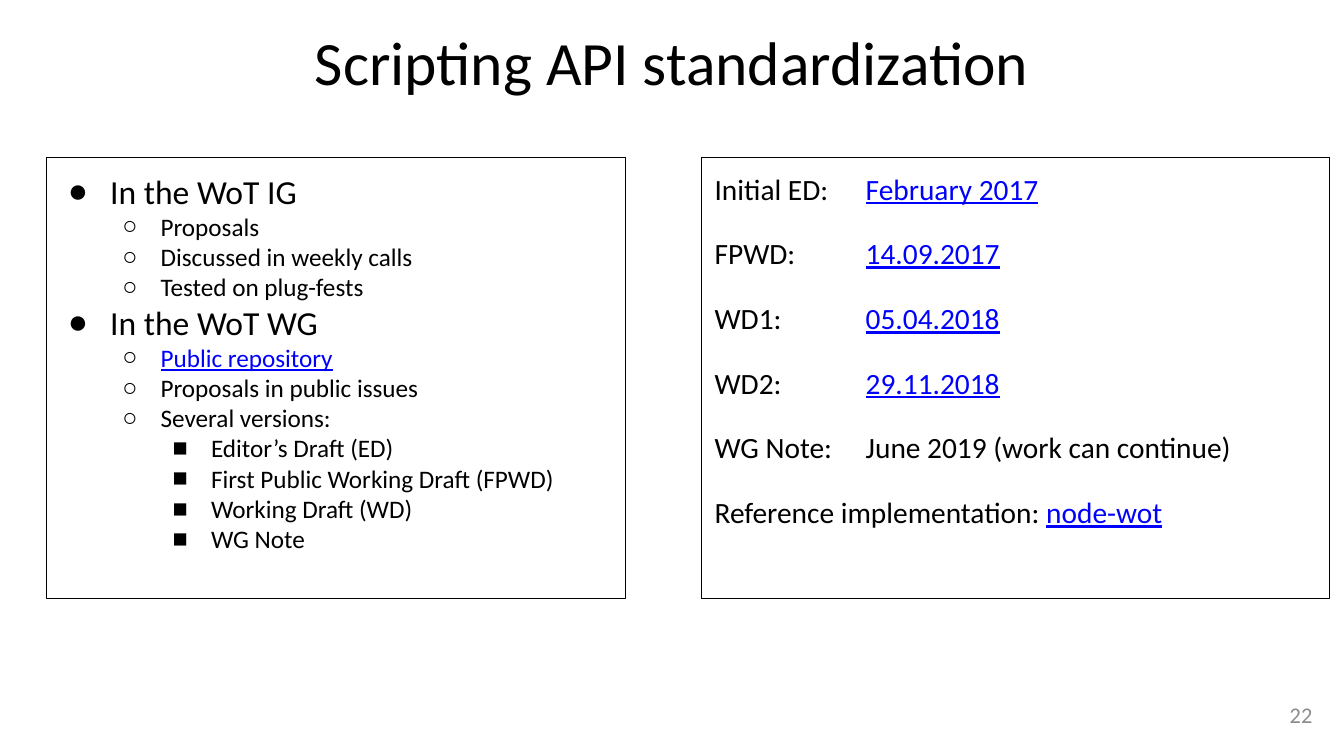
from dataclasses import dataclass
from typing import Any

import pptx
import pptx.dml.color
import pptx.enum.text
import pptx.oxml
import pptx.oxml.ns
import pptx.util

Align = pptx.enum.text.PP_ALIGN
Anchor = pptx.enum.text.MSO_ANCHOR


@dataclass(frozen=True)
class Theme:
    font: str = "Calibri"
    ink: str = "000000"
    link: str = "0000FF"
    grey: str = "8C8C8C"
    title: int = 44
    head: int = 24
    item: int = 18
    date: int = 21
    page: int = 16
    rule: float = 0.75


@dataclass(frozen=True)
class Box:
    left: float
    top: float
    width: float
    height: float


@dataclass(frozen=True)
class Item:
    level: int
    text: str
    linked: bool = False


@dataclass(frozen=True)
class Entry:
    label: str
    link: str = ""


@dataclass(frozen=True)
class Mark:
    sign: str
    margin: float
    hang: float
    size: int


THEME = Theme()
WIDTH = pptx.util.Inches(13.34)
HEIGHT = pptx.util.Inches(7.5)
PAD = 0.01
TAB = 0.1

TITLE = Box(0, 3.87, 100, 8.4)
LEFT = Box(3.45, 20.8, 43.1, 58.4)
RIGHT = Box(52.17, 20.8, 46.78, 58.4)
PAGE = Box(92.65, 90.67, 6, 7.6)

MARKS = (
    Mark("●", 0.0375, 0.0315, THEME.head),
    Mark("○", 0.075, 0.0285, THEME.item),
    Mark("■", 0.1125, 0.0285, THEME.item),
)

ITEMS = (
    Item(0, "In the WoT IG"),
    Item(1, "Proposals"),
    Item(1, "Discussed in weekly calls"),
    Item(1, "Tested on plug-fests"),
    Item(0, "In the WoT WG"),
    Item(1, "Public repository", True),
    Item(1, "Proposals in public issues"),
    Item(1, "Several versions:"),
    Item(2, "Editor’s Draft (ED)"),
    Item(2, "First Public Working Draft (FPWD)"),
    Item(2, "Working Draft (WD)"),
    Item(2, "WG Note"),
)

ENTRIES = (
    Entry("Initial ED:\t", "February 2017"),
    Entry("FPWD: \t\t", "14.09.2017"),
    Entry("WD1: \t\t", "05.04.2018"),
    Entry("WD2: \t\t", "29.11.2018"),
    Entry("WG Note: \tJune 2019 (work can continue)"),
    Entry("Reference implementation: ", "node-wot"),
)


def across(share: float) -> int:
    return round(WIDTH * share)


def place(shape: Any, box: Box) -> None:
    shape.left, shape.width = across(box.left / 100), across(box.width / 100)
    shape.top = round(HEIGHT * box.top / 100)
    shape.height = round(HEIGHT * box.height / 100)


def setup(shape: Any, box: Box, anchor: Any, inset: float = PAD) -> Any:
    place(shape, box)
    frame = shape.text_frame
    frame.word_wrap = True
    frame.auto_size = pptx.enum.text.MSO_AUTO_SIZE.NONE
    frame.vertical_anchor = anchor
    frame.margin_left = frame.margin_right = across(PAD)
    frame.margin_top = frame.margin_bottom = across(inset)
    return frame


def panel(shape: Any, box: Box) -> Any:
    shape.line.color.rgb = pptx.dml.color.RGBColor.from_string(THEME.ink)
    shape.line.width = pptx.util.Pt(THEME.rule)
    return setup(shape, box, Anchor.TOP)


def style(font: Any, size: int, color: str) -> None:
    font.name = THEME.font
    font.size = pptx.util.Pt(size)
    font.color.rgb = pptx.dml.color.RGBColor.from_string(color)


def add(props: Any, tag: str, **attrs: str) -> Any:
    node = pptx.oxml.parse_xml(f"<a:{tag} {pptx.oxml.ns.nsdecls('a')}/>")
    for key, value in attrs.items():
        node.set(key, value)
    props.append(node)
    return node


def indent(para: Any, margin: float, hang: float) -> Any:
    props = para._p.get_or_add_pPr()
    props.set("marL", str(across(margin)))
    props.set("indent", str(-across(hang)))
    return props


def line(frame: Any, index: int) -> Any:
    para = frame.add_paragraph() if index else frame.paragraphs[0]
    para.space_before = para.space_after = pptx.util.Pt(0)
    return para


def label(frame: Any, text: str, size: int, color: str, align: Any) -> None:
    para = line(frame, 0)
    para.alignment = align
    para.add_run().text = text
    style(para.font, size, color)


def outline(frame: Any) -> None:
    for index, item in enumerate(ITEMS):
        mark = MARKS[item.level]
        para = line(frame, index)
        para.level = item.level
        props = indent(para, mark.margin, mark.hang)
        add(add(props, "buClr"), "srgbClr", val=THEME.ink)
        add(props, "buChar", char=mark.sign)
        run = para.add_run()
        run.text = item.text
        style(para.font, mark.size, THEME.link if item.linked else THEME.ink)
        para.font.underline = item.linked


def dates(frame: Any) -> None:
    for index, entry in enumerate(ENTRIES):
        para = line(frame, index)
        para.space_before = pptx.util.Pt(THEME.date if index else 0)
        props = indent(para, 0, 0)
        add(props, "buNone")
        stops = add(props, "tabLst")
        for stop in (1, 2):
            add(stops, "tab", pos=str(across(TAB * stop)), algn="l")
        para.add_run().text = entry.label
        style(para.font, THEME.date, THEME.ink)
        if entry.link:
            run = para.add_run()
            run.text = entry.link
            style(run.font, THEME.date, THEME.link)
            run.font.underline = True


def main() -> None:
    deck = pptx.Presentation()
    deck.slide_width, deck.slide_height = WIDTH, HEIGHT
    slide = deck.slides.add_slide(deck.slide_layouts[3])
    title, left, right = slide.placeholders
    head = setup(title, TITLE, Anchor.MIDDLE, PAD / 2)
    label(head, "Scripting API standardization", THEME.title, THEME.ink, Align.CENTER)
    outline(panel(left, LEFT))
    dates(panel(right, RIGHT))
    page = setup(slide.shapes.add_textbox(0, 0, 0, 0), PAGE, Anchor.MIDDLE)
    label(page, "22", THEME.page, THEME.grey, Align.RIGHT)
    deck.save("out.pptx")


if __name__ == "__main__":
    main()
